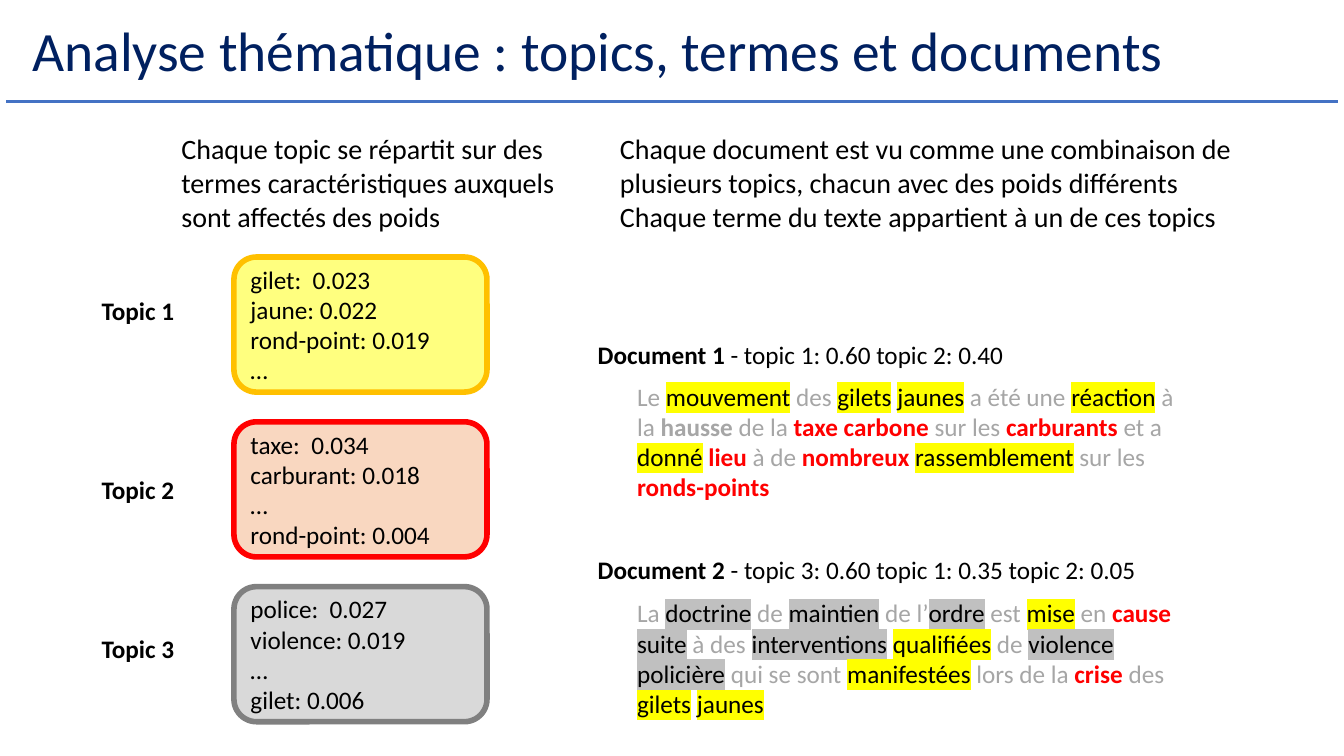
"""Build a slide showing how topics, terms and documents relate in topic analysis."""
from enum import Enum
from typing import NamedTuple

from lxml.etree import SubElement
from pptx import Presentation
from pptx.dml.color import RGBColor
from pptx.enum.shapes import MSO_CONNECTOR as Connector, MSO_SHAPE as Preset
from pptx.enum.text import MSO_ANCHOR as Anchor, MSO_AUTO_SIZE as AutoSize, PP_ALIGN as Align
from pptx.oxml.ns import qn
from pptx.slide import Slide
from pptx.util import Inches, Pt

FONT = "Calibri"
BLACK = "000000"


class Look(NamedTuple):
    color: str = BLACK
    bold: bool = False
    highlight: str = ""


class Style(Enum):
    PLAIN = Look()
    STRONG = Look(bold=True)
    FADED = Look("A6A6A6")
    FADED_STRONG = Look("A6A6A6", bold=True)
    TOPIC1 = Look(highlight="FFFF00")
    TOPIC2 = Look("FF0000", bold=True)
    TOPIC3 = Look(highlight="C0C0C0")


class Span(NamedTuple):
    text: str
    style: Style = Style.FADED


class Topic(NamedTuple):
    name: str
    label_top: float
    terms: str
    fill: str
    line: str
    opacity: int


class Document(NamedTuple):
    name: str
    weights: str
    top: float
    width: float
    text_top: float
    spans: list[Span]


class Intro(NamedTuple):
    left: float
    width: float
    text: str


TITLE = "Analyse thématique : topics, termes et documents"
INTROS = [
    Intro(1.7, 4.32, "Chaque topic se répartit sur des termes caractéristiques auxquels "
          "sont affectés des poids"),
    Intro(6.05, 6.37, "Chaque document est vu comme une combinaison de plusieurs topics, "
          "chacun avec des poids différents\n"
          "Chaque terme du texte appartient à un de ces topics"),
]
TOPICS = [
    Topic("Topic 1", 2.88, "gilet:  0.023\njaune: 0.022\nrond-point: 0.019\n…",
          "FFFF00", "FFC000", 50),
    Topic("Topic 2", 4.66, "taxe:  0.034\ncarburant: 0.018\n…\nrond-point: 0.004",
          "F4B183", "FF0000", 50),
    Topic("Topic 3", 6.23, "police:  0.027\nviolence: 0.019\n…\ngilet: 0.006",
          "D9D9D9", "808080", 100),
]
DOCUMENTS = [
    Document("Document 1 ", "- topic 1: 0.60 topic 2: 0.40", 3.32, 5, 3.73, [
        Span("Le "), Span("mouvement", Style.TOPIC1), Span(" des "),
        Span("gilets", Style.TOPIC1), Span(" "), Span("jaunes", Style.TOPIC1),
        Span(" a été une "), Span("réaction", Style.TOPIC1), Span(" à la "),
        Span("hausse ", Style.FADED_STRONG), Span("de la "),
        Span("taxe carbone ", Style.TOPIC2), Span("sur les "),
        Span("carburants ", Style.TOPIC2), Span("et a "),
        Span("donné", Style.TOPIC1), Span(" "), Span("lieu ", Style.TOPIC2),
        Span("à de "), Span("nombreux ", Style.TOPIC2),
        Span("rassemblement", Style.TOPIC1), Span(" sur les "),
        Span("ronds-points", Style.TOPIC2),
    ]),
    Document("Document 2 ", "- topic 3: 0.60 topic 1: 0.35 topic 2: 0.05", 5.45, 6.08, 5.88, [
        Span("La "), Span("doctrine", Style.TOPIC3), Span(" de "),
        Span("maintien", Style.TOPIC3), Span(" de l’"), Span("ordre", Style.TOPIC3),
        Span(" est "), Span("mise", Style.TOPIC1), Span(" en "),
        Span("cause ", Style.TOPIC2), Span("suite", Style.TOPIC3), Span(" à des "),
        Span("interventions", Style.TOPIC3), Span(" "),
        Span("qualifiées", Style.TOPIC1), Span(" de "),
        Span("violence policière", Style.TOPIC3), Span(" qui se sont "),
        Span("manifestées", Style.TOPIC1), Span(" lors de la "),
        Span("crise ", Style.TOPIC2), Span("des "), Span("gilets", Style.TOPIC1),
        Span(" "), Span("jaunes", Style.TOPIC1),
    ]),
]


def rgb(value: str) -> RGBColor:
    """Turn a hex string into a colour."""
    return RGBColor.from_string(value)


def format_font(font, size: float, color: str = BLACK, bold: bool = False) -> None:
    """Set the typeface, size, colour and weight of a font."""
    font.name, font.size, font.bold = FONT, Pt(size), bold
    font.color.rgb = rgb(color)


def fill_text(frame, text: str, size: float, color: str = BLACK, bold: bool = False) -> None:
    """Write left-aligned lines of uniform text into a frame."""
    frame.text = text
    for para in frame.paragraphs:
        para.alignment = Align.LEFT
        for run in para.runs:
            format_font(run.font, size, color, bold)


def add_box(page: Slide, left: float, top: float, width: float, height: float,
            wrap: bool = True):
    """Add an empty text box and return its frame."""
    box = page.shapes.add_textbox(Inches(left), Inches(top), Inches(width), Inches(height))
    box.text_frame.word_wrap = wrap
    return box.text_frame


def add_spans(frame, spans: list[Span]) -> None:
    """Write differently styled spans into the first paragraph."""
    for span in spans:
        run = frame.paragraphs[0].add_run()
        run.text = span.text
        look = span.style.value
        format_font(run.font, 18, look.color, look.bold)
        if look.highlight:
            properties = run.font._element
            highlight = SubElement(properties, qn("a:highlight"))
            SubElement(highlight, qn("a:srgbClr"), val=look.highlight)
            properties.find(qn("a:solidFill")).addnext(highlight)


def add_heading(page: Slide) -> None:
    """Place the title and the rule beneath it."""
    title = page.shapes.title
    title.left, title.top = Inches(0.22), Inches(0.17)
    title.width, title.height = Inches(12.53), Inches(0.72)
    frame = title.text_frame
    fill_text(frame, TITLE, 39.6, "002060")
    frame.auto_size, frame.vertical_anchor = AutoSize.NONE, Anchor.MIDDLE
    frame.paragraphs[0].line_spacing = 0.9
    rule = page.shapes.add_connector(Connector.STRAIGHT, Inches(0.06), Inches(1.01),
                                     Inches(13.27), Inches(1.01))
    rule.line.color.rgb, rule.line.width = rgb("4472C4"), Pt(2)
    SubElement(rule._element.spPr, qn("a:effectLst"))


def add_topic(page: Slide, topic: Topic, top: float) -> None:
    """Draw a topic label and its card of weighted terms."""
    label = add_box(page, 0.91, topic.label_top, 0.93, 0.4, wrap=False)
    fill_text(label, topic.name, 18, bold=True)
    card = page.shapes.add_shape(Preset.ROUNDED_RECTANGLE, Inches(2.32), Inches(top),
                                 Inches(2.51), Inches(1.34))
    card.shadow.inherit = False
    card.fill.solid()
    card.fill.fore_color.rgb = rgb(topic.fill)
    if topic.opacity < 100:
        color = card._element.spPr.find(f"{qn('a:solidFill')}/{qn('a:srgbClr')}")
        SubElement(color, qn("a:alpha"), val=str(topic.opacity * 1000))
    card.line.color.rgb, card.line.width = rgb(topic.line), Pt(4)
    card.text_frame.vertical_anchor = Anchor.MIDDLE
    fill_text(card.text_frame, topic.terms, 18)


def add_document(page: Slide, document: Document) -> None:
    """Write a document heading and its annotated text."""
    heading = [Span(document.name, Style.STRONG), Span(document.weights, Style.PLAIN)]
    add_spans(add_box(page, 5.83, document.top, document.width, 0.4), heading)
    add_spans(add_box(page, 6.22, document.text_top, 5.55, 1.31), document.spans)


def main() -> None:
    """Build and save the deck."""
    deck = Presentation()
    deck.slide_width, deck.slide_height = Inches(13.33), Inches(7.5)
    page = deck.slides.add_slide(deck.slide_layouts[5])
    add_heading(page)
    for intro in INTROS:
        fill_text(add_box(page, intro.left, 1.26, intro.width, 1.11), intro.text, 20)
    for index, topic in enumerate(TOPICS):
        add_topic(page, topic, 2.55 + 1.635 * index)
    for document in DOCUMENTS:
        add_document(page, document)
    deck.save("out.pptx")


if __name__ == "__main__":
    main()
